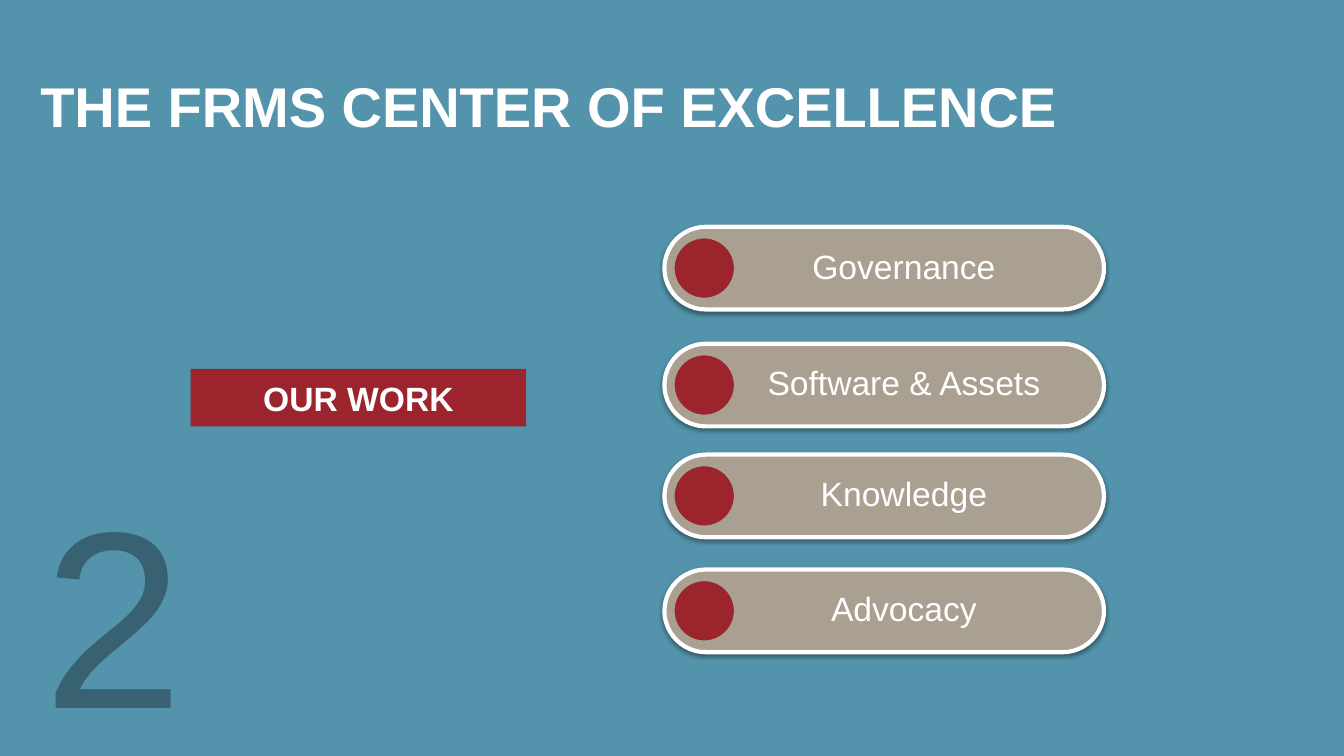
from lxml import etree
from pptx import Presentation
from pptx.dml.color import RGBColor
from pptx.enum.shapes import MSO_SHAPE
from pptx.enum.text import MSO_ANCHOR, PP_ALIGN
from pptx.oxml.ns import qn
from pptx.util import Inches, Pt

RECTANGLE = MSO_SHAPE.RECTANGLE
PILL = MSO_SHAPE.ROUNDED_RECTANGLE
OVAL = MSO_SHAPE.OVAL
TOP, MIDDLE = MSO_ANCHOR.TOP, MSO_ANCHOR.MIDDLE
LEFT, CENTER = PP_ALIGN.LEFT, PP_ALIGN.CENTER

BLUE = RGBColor(0x53, 0x93, 0xAB)
DARK_BLUE = RGBColor(0x38, 0x62, 0x72)
RED = RGBColor(0x9B, 0x24, 0x2D)
TAUPE = RGBColor(0xAA, 0xA0, 0x92)
WHITE = RGBColor(0xFF, 0xFF, 0xFF)
BLACK = RGBColor(0, 0, 0)

WIDTH, HEIGHT = 13.33, 7.5
PILL_HEIGHT, DOT_SIZE = 0.82, 0.63
WORK_AREAS = [
    ("Governance", 2.25),
    ("Software & Assets", 3.41),
    ("Knowledge", 4.51),
    ("Advocacy", 5.65),
]


class SlideBuilder:
    font = "Arial"
    outline = Pt(3)

    def __init__(self, slide):
        self.slide = slide

    def add_shape(self, kind, left, top, width, height, fill, line=None):
        shape = self.slide.shapes.add_shape(
            kind, Inches(left), Inches(top), Inches(width), Inches(height))
        shape.shadow.inherit = False
        shape.fill.solid()
        shape.fill.fore_color.rgb = fill
        if line is None:
            shape.line.fill.background()
        else:
            shape.line.color.rgb = line
            shape.line.width = self.outline
        return shape

    def set_text(self, shape, text, size, color=WHITE, bold=False,
                 align=CENTER, anchor=MIDDLE, insets=(0, 0, 0, 0)):
        """Set styled text; insets run left, top, right, bottom in inches."""
        frame = shape.text_frame
        frame.word_wrap = True
        frame.vertical_anchor = anchor
        (frame.margin_left, frame.margin_top,
         frame.margin_right, frame.margin_bottom) = map(Inches, insets)
        paragraph = frame.paragraphs[0]
        paragraph.text = text
        paragraph.alignment = align
        font = paragraph.runs[0].font
        font.name, font.size, font.bold = self.font, Pt(size), bold
        font.color.rgb = color
        return paragraph

    def add_number(self, text, left, top, width, height):
        box = self.slide.shapes.add_textbox(
            Inches(left), Inches(top), Inches(width), Inches(height))
        self.set_text(box, text, 180, DARK_BLUE, align=LEFT, anchor=TOP)

    def add_title_panel(self, text):
        panel = self.add_shape(RECTANGLE, 0, 0, WIDTH, HEIGHT, BLUE)
        paragraph = self.set_text(panel, text, 40, bold=True, align=LEFT,
                                  anchor=TOP, insets=(0.4, 0.75, 0.4, 2))
        paragraph.line_spacing = Pt(45.3)
        paragraph.space_before = Pt(16)

    def add_label(self, text, left, top, width, height):
        label = self.add_shape(RECTANGLE, left, top, width, height, RED)
        self.set_text(label, text, 24, bold=True, insets=(0.16, 0, 0.16, 0))

    def add_pill(self, text, top):
        pill = self.add_shape(PILL, 6.59, top, 4.36, PILL_HEIGHT, TAUPE, WHITE)
        pill.adjustments[0] = 0.5
        self.add_shadow(pill)
        paragraph = self.set_text(pill, text, 24,
                                  insets=(0.19, 0.11, 0.19, 0.11))
        paragraph.line_spacing = 0.9
        properties = paragraph._p.get_or_add_pPr()
        properties.set("marL", str(Inches(0.39)))
        properties.set("indent", "0")

    def add_dot(self, pill_top):
        top = pill_top + (PILL_HEIGHT - DOT_SIZE) / 2
        self.add_shape(OVAL, 6.67, top, DOT_SIZE, DOT_SIZE, RED, TAUPE)

    def add_shadow(self, shape):
        effects = shape._element.spPr.find(qn("a:effectLst"))
        shadow = etree.SubElement(
            effects, qn("a:outerShdw"), blurRad=str(Pt(3.1)),
            dist=str(Pt(1.6)), dir="5400000", rotWithShape="0")
        color = etree.SubElement(shadow, qn("a:srgbClr"), val=str(BLACK))
        etree.SubElement(color, qn("a:alpha"), val="38000")


def main():
    presentation = Presentation()
    presentation.slide_width = Inches(WIDTH)
    presentation.slide_height = Inches(HEIGHT)
    slide = presentation.slides.add_slide(presentation.slide_layouts[6])
    builder = SlideBuilder(slide)

    builder.add_title_panel("THE FRMS CENTER OF EXCELLENCE")
    builder.add_number("2", 0.43, 4.53, 3.43, 2.58)
    builder.add_label("OUR WORK", 1.89, 3.66, 3.33, 0.57)
    for name, top in WORK_AREAS:
        builder.add_pill(name, top)
    for _, top in WORK_AREAS:
        builder.add_dot(top)

    presentation.save("out.pptx")


if __name__ == "__main__":
    main()
